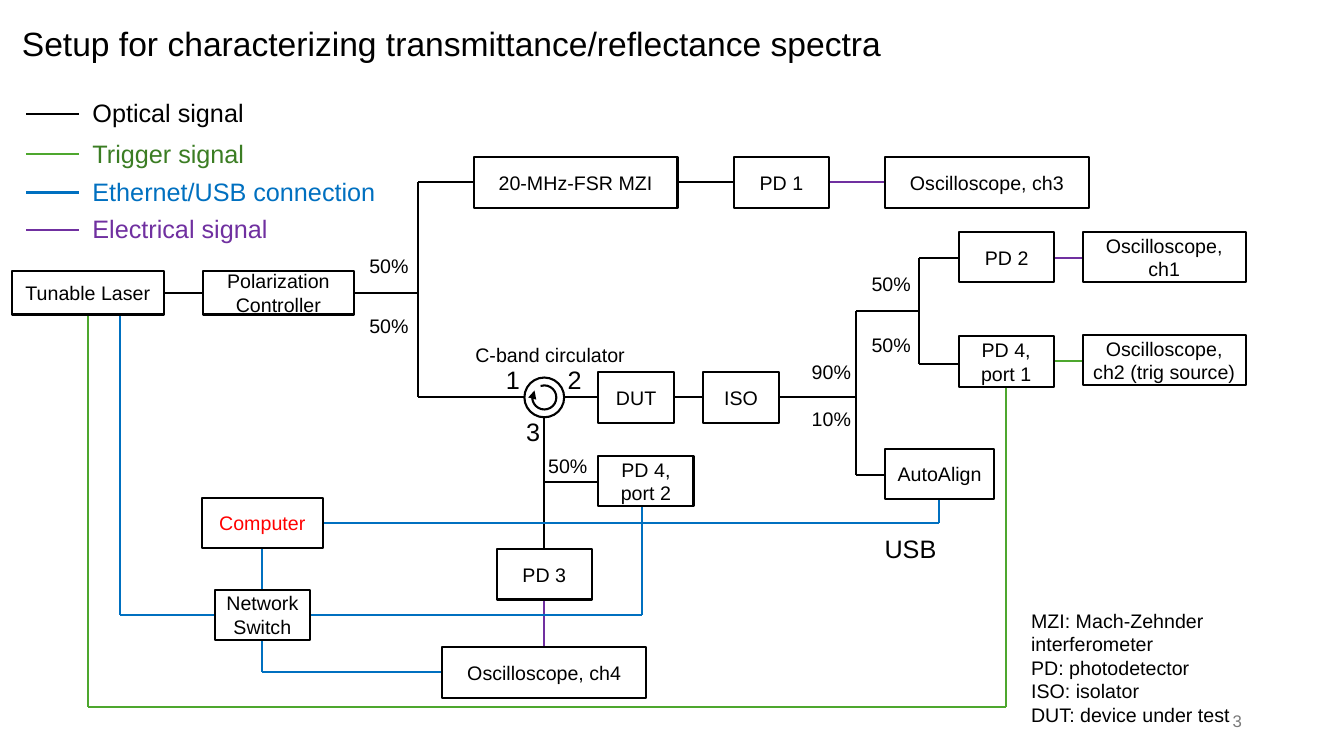
"""Build the slide showing the transmittance/reflectance measurement setup."""
import pptx
import pptx.dml.color
import pptx.enum.shapes
import pptx.enum.text
import pptx.oxml
import pptx.util
import lxml.etree

Pt = pptx.util.Pt
RGBColor = pptx.dml.color.RGBColor
SHAPE = pptx.enum.shapes.MSO_SHAPE
ALIGN = pptx.enum.text.PP_ALIGN
ANCHOR = pptx.enum.text.MSO_ANCHOR

BLACK = RGBColor(0x00, 0x00, 0x00)
GREEN = RGBColor(0x4E, 0xA7, 0x2E)
DARK_GREEN = RGBColor(0x3B, 0x7D, 0x23)
BLUE = RGBColor(0x00, 0x70, 0xC0)
PURPLE = RGBColor(0x70, 0x30, 0xA0)
RED = RGBColor(0xFF, 0x00, 0x00)
GRAY = RGBColor(0x79, 0x79, 0x79)


def write_text(frame, text, *, font="Arial", size=14, color=BLACK,
               align=ALIGN.CENTER, anchor=ANCHOR.TOP, inset=7.2):
    frame.word_wrap = True
    frame.vertical_anchor = anchor
    frame.margin_left = frame.margin_right = Pt(inset)
    frame.text = text
    for paragraph in frame.paragraphs:
        paragraph.alignment = align
        paragraph.font.name = font
        paragraph.font.size = Pt(size)
        paragraph.font.color.rgb = color


class Diagram:
    def __init__(self, slide, line_width=1.5):
        self.shapes = slide.shapes
        self.line_width = Pt(line_width)

    def outline(self, kind, left, top, width, height):
        shape = self.shapes.add_shape(kind, Pt(left), Pt(top), Pt(width), Pt(height))
        shape.shadow.inherit = False
        shape.fill.background()
        shape.line.color.rgb = BLACK
        shape.line.width = self.line_width
        return shape

    def device(self, text, left, top, width, height=36, color=BLACK):
        shape = self.outline(SHAPE.RECTANGLE, left, top, width, height)
        write_text(shape.text_frame, text, color=color, anchor=ANCHOR.MIDDLE, inset=6)

    def label(self, text, left, top, width, height=24.2, **style):
        box = self.shapes.add_textbox(Pt(left), Pt(top), Pt(width), Pt(height))
        write_text(box.text_frame, text, **style)

    def wire(self, color, *points):
        for (x1, y1), (x2, y2) in zip(points, points[1:]):
            segment = self.shapes.add_connector(
                pptx.enum.shapes.MSO_CONNECTOR.STRAIGHT, Pt(x1), Pt(y1), Pt(x2), Pt(y2))
            segment.line.color.rgb = color
            segment.line.width = self.line_width
            lxml.etree.SubElement(segment._element.spPr, pptx.oxml.ns.qn("a:effectLst"))

    def circulator(self, center_x, center_y, radius, arrow_radius):
        self.outline(SHAPE.OVAL, center_x - radius, center_y - radius, 2 * radius, 2 * radius)
        arrow = self.outline(SHAPE.ARC, center_x - arrow_radius, center_y - arrow_radius,
                             2 * arrow_radius, 2 * arrow_radius)
        arrow.adjustments[0] = 162 * 0.6
        arrow.adjustments[1] = 125.13 * 0.6
        arrow.rotation = 90
        line = arrow.line._get_or_add_ln()
        lxml.etree.SubElement(line, pptx.oxml.ns.qn("a:tailEnd"), type="triangle")


LEGEND = [
    ("Optical signal", 81.4, BLACK, BLACK),
    ("Trigger signal", 110.2, GREEN, DARK_GREEN),
    ("Ethernet/USB connection", 137.5, BLUE, BLUE),
    ("Electrical signal", 164.2, PURPLE, PURPLE),
]

DEVICES = [
    ("Tunable Laser", 8.6, 193.7, 108.3, 31),
    ("Polarization Controller", 144.7, 193.7, 108.3, 31),
    ("20-MHz-FSR MZI", 338.4, 112.3, 145.6),
    ("PD 1", 524.2, 112.3, 68),
    ("Oscilloscope, ch3", 632.2, 112.3, 145.6),
    ("DUT", 427.4, 265.9, 54),
    ("ISO", 502.3, 265.9, 54),
    ("AutoAlign", 632.2, 320.6, 78),
    ("PD 2", 685.1, 165.8, 68),
    ("PD 4,\nport 1", 684.7, 240.2, 68),
    ("Oscilloscope, ch1", 773.3, 165.8, 116.6),
    ("Oscilloscope, ch2 (trig source)", 773.3, 239.3, 116.6),
    ("PD 4,\nport 2", 427.4, 325.6, 68),
    ("PD 3", 354.8, 392.3, 68),
    ("Oscilloscope, ch4", 316, 462.4, 145.6),
    ("Network Switch", 153.4, 421.2, 68),
    ("Computer", 144, 355.5, 86.7, 36, RED),
]

WIRES = {
    BLACK: [
        [(116.9, 209.2), (144.7, 209.2)],
        [(253, 209.2), (298.6, 209.2)],
        [(338.4, 130.3), (298.6, 130.3), (298.6, 283.9), (374.6, 283.9)],
        [(484, 130.3), (524.2, 130.3)],
        [(403, 283.9), (427.4, 283.9)],
        [(481.4, 283.9), (502.3, 283.9)],
        [(556.3, 283.9), (611.5, 283.9)],
        [(632.2, 339), (611.5, 339), (611.5, 222), (656.6, 222)],
        [(685, 184), (656.6, 184), (656.6, 260), (685, 260)],
        [(388.8, 298), (388.8, 392.3)],
        [(388.8, 344), (427.4, 344)],
    ],
    PURPLE: [
        [(592.2, 130.3), (632.2, 130.3)],
        [(753, 184), (773.3, 184)],
        [(388.8, 428.3), (388.8, 462.4)],
    ],
    GREEN: [
        [(752.7, 257.8), (773.3, 257.8)],
        [(62.6, 224.7), (62.6, 505), (718.7, 505), (718.7, 276.2)],
    ],
    BLUE: [
        [(85.8, 224.7), (85.8, 439.2), (153.4, 439.2)],
        [(221.4, 439.2), (458.9, 439.2), (458.9, 361.6)],
        [(187.4, 457.2), (187.4, 480.3), (316, 480.3)],
        [(187.4, 391.5), (187.4, 421.2)],
        [(230.7, 373.5), (670.8, 373.5), (670.8, 356.6)],
    ],
}

SPLIT_RATIOS = [
    ("50%", 255.5, 177.8), ("50%", 255.5, 221),
    ("90%", 571.5, 253.6), ("10%", 571.5, 286.8),
    ("50%", 614.2, 190.8), ("50%", 614.2, 234),
    ("50%", 383.2, 320.6),
]

PORTS = [("1", 354.3, 257), ("2", 398.3, 257), ("3", 368.7, 293.8)]

ABBREVIATIONS = ("MZI: Mach-Zehnder interferometer\nPD: photodetector\n"
                 "ISO: isolator\nDUT: device under test")


def main():
    deck = pptx.Presentation()
    deck.slide_width, deck.slide_height = Pt(960), Pt(540)
    setup = Diagram(deck.slides.add_slide(deck.slide_layouts[6]))

    setup.label("Setup for characterizing transmittance/reflectance spectra",
                8.6, 13, 636.5, 36, size=24, align=ALIGN.LEFT)
    setup.label("3", 678.2, 500.4, 216, 28.8, size=12, color=GRAY,
                align=ALIGN.RIGHT, anchor=ANCHOR.MIDDLE)

    for meaning, y, line_color, text_color in LEGEND:
        setup.wire(line_color, (18.7, y), (56.2, y))
        setup.label(meaning, 59, y - 15.2, 219, 29, size=18, color=text_color,
                    align=ALIGN.LEFT)

    for color, routes in WIRES.items():
        for route in routes:
            setup.wire(color, *route)
    for device in DEVICES:
        setup.device(*device)
    setup.circulator(388.8, 283.9, 14.2, 8.6)

    for ratio, left, top in SPLIT_RATIOS:
        setup.label(ratio, left, top, 44.8)
    for port, left, top in PORTS:
        setup.label(port, left, top, 23.5, 29, size=18)
    setup.label("C-band circulator", 331, 241.4, 124)
    setup.label("USB", 623, 377.3, 54.7, 29, size=18)
    setup.label(ABBREVIATIONS, 729.4, 431.3, 212, 75, align=ALIGN.LEFT)

    deck.save("out.pptx")


if __name__ == "__main__":
    main()
